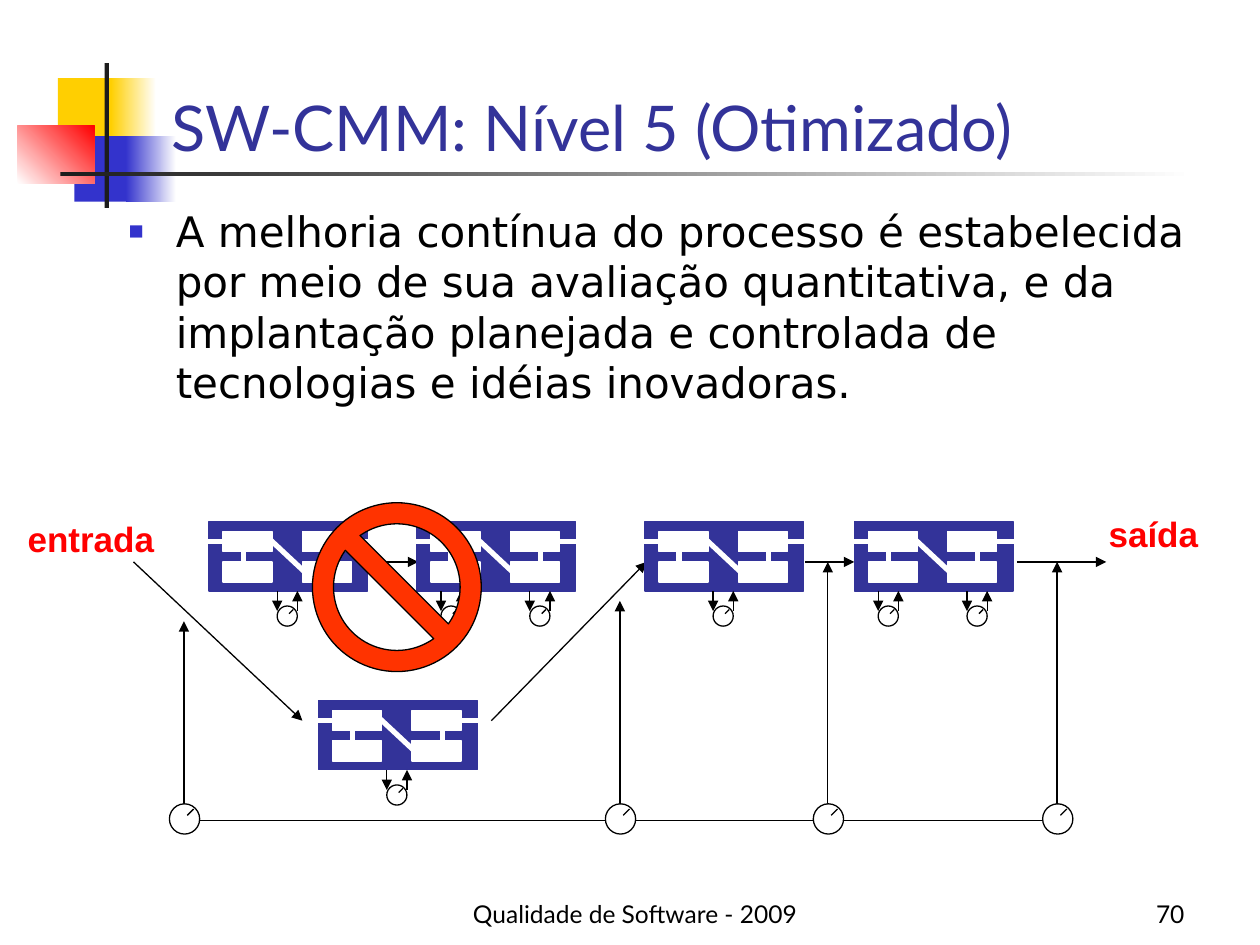
import dataclasses
import lxml.etree
import pptx
import pptx.dml.color
import pptx.enum.shapes
import pptx.enum.text
import pptx.oxml.ns
import pptx.util

KIND = pptx.enum.shapes.MSO_SHAPE
ALIGN = pptx.enum.text.PP_ALIGN
ANCHOR = pptx.enum.text.MSO_ANCHOR
WIDE, HIGH = pptx.util.Inches(10), pptx.util.Inches(7.5)
COL, ROW = WIDE / 100, HIGH / 75


@dataclasses.dataclass(frozen=True)
class Theme:
    ink: str = "000000"
    dark: str = "1C1C1C"
    paper: str = "FFFFFF"
    navy: str = "333399"
    blue: str = "3333CC"
    gold: str = "FFCF01"
    red: str = "FF0000"
    ban: str = "FF3300"
    head: str = "Lato"
    main: str = "DejaVu Sans"
    tag: str = "Arial"
    title: int = 36
    body: int = 24
    label: int = 20
    foot: int = 14
    thin: float = 0.75
    thick: float = 3


LOOK = Theme()


def tint(code):
    return pptx.dml.color.RGBColor.from_string(code)


def span(box):
    x, y, wide, high = box
    return round(x * COL), round(y * ROW), round(wide * COL), round(high * ROW)


def node(base, tag, **attrs):
    return lxml.etree.SubElement(base, pptx.oxml.ns.qn(tag), attrs)


def write(frame, words, font=LOOK.head, size=LOOK.foot, color=LOOK.ink,
          bold=False, align=ALIGN.LEFT, anchor=ANCHOR.TOP):
    frame.text = words
    frame.word_wrap = True
    frame.auto_size = pptx.enum.text.MSO_AUTO_SIZE.NONE
    frame.vertical_anchor = anchor
    para = frame.paragraphs[0]
    para.alignment = align
    face = para.runs[0].font
    face.name, face.size, face.bold = font, pptx.util.Pt(size), bold
    face.color.rgb = tint(color)
    return para


def note(shapes, box, words, **form):
    write(shapes.add_textbox(*span(box)).text_frame, words, **form)


def draw(shapes, kind, box, fill, edge=None, fade=None, angle=0):
    shape = shapes.add_shape(kind, *span(box))
    shape.shadow.inherit = False
    if fade:
        shape.fill.gradient()
        shape.fill.gradient_angle = angle
        for stop, code in zip(shape.fill.gradient_stops, (fill, fade)):
            stop.color.rgb = tint(code)
    else:
        shape.fill.solid()
        shape.fill.fore_color.rgb = tint(fill)
    if edge:
        shape.line.color.rgb = tint(edge)
        shape.line.width = pptx.util.Pt(LOOK.thin)
    else:
        shape.line.fill.background()
    return shape


def link(shapes, start, end, color=LOOK.ink, width=LOOK.thin, tip=False):
    ends = [round(part * unit) for spot in (start, end)
            for part, unit in zip(spot, (COL, ROW))]
    line = shapes.add_connector(pptx.enum.shapes.MSO_CONNECTOR.STRAIGHT, *ends)
    line.line.color.rgb = tint(color)
    line.line.width = pptx.util.Pt(width)
    if tip:
        node(line.line._get_or_add_ln(), "a:tailEnd", type="triangle")
    node(line.element.spPr, "a:effectLst")


def dial(shapes, x, y, size):
    draw(shapes, KIND.OVAL, (x, y, size, size), LOOK.paper, LOOK.ink)
    link(shapes, (x + 0.59 * size, y + 0.38 * size), (x + 0.8 * size, y + 0.17 * size))


def gauge(shapes, x, y):
    dial(shapes, x, y + 1.2, 1.6)
    link(shapes, (x, y), (x, y + 1.6), tip=True)
    link(shapes, (x + 1.6, y + 1.6), (x + 1.6, y), tip=True)


def stage(slide, x, y, gaps):
    shapes = slide.shapes.add_group_shape().shapes
    draw(shapes, KIND.RECTANGLE, (x, y, 12.6, 5.5), LOOK.navy, LOOK.navy)
    for left in (1.1, 7.4):
        for top in (0.8, 3.2):
            draw(shapes, KIND.RECTANGLE, (x + left, y + top, 3.9, 1.6),
                 LOOK.paper, LOOK.paper)
    for a, b, c, d in ((-0.5, 1.6, 1.9, 1.6), (10.6, 1.6, 12.95, 1.6),
                       (4.7, 1.3, 7.7, 4.1), (2.7, 4, 2.7, 1.6), (9.8, 4, 9.8, 1.6)):
        link(shapes, (x + a, y + b), (x + c, y + d), LOOK.paper, LOOK.thick)
    for gap in gaps:
        gauge(shapes, x + gap, y + 5.5)


def motif(slide, x, y):
    bars = (
        ((3.2, 1.2, 4.8, 5.2), LOOK.gold, None, 0),
        ((7.4, 1.2, 3.6, 5.2), LOOK.gold, LOOK.paper, 0),
        ((4.5, 5.8, 4.6, 5.2), LOOK.blue, None, 0),
        ((8.6, 5.8, 4, 5.2), LOOK.blue, LOOK.paper, 0),
        ((0, 5, 6.1, 4.6), LOOK.paper, LOOK.red, 45),
        ((6.9, 0, 0.35, 11.5), LOOK.dark, None, 0),
        ((3.4, 8.65, 90, 0.3), LOOK.dark, LOOK.paper, 0),
    )
    for (left, top, wide, high), fill, fade, angle in bars:
        draw(slide.shapes, KIND.RECTANGLE, (x + left, y + top, wide, high),
             fill, fade=fade, angle=angle)


def hold(slide, index, box):
    shape = slide.placeholders[index]
    shape.left, shape.top, shape.width, shape.height = span(box)
    shape.element.getparent().append(shape.element)
    return shape.text_frame


def title(slide, box, words):
    write(hold(slide, 0, box), words, size=LOOK.title, color=LOOK.navy,
          anchor=ANCHOR.BOTTOM)


def body(slide, box, words):
    para = write(hold(slide, 1, box), words, font=LOOK.main, size=LOOK.body)
    para.space_before = pptx.util.Pt(0)
    props = para._p.get_or_add_pPr()
    dent = round(3.75 * COL)
    props.set("marL", str(dent))
    props.set("indent", str(-dent))
    node(node(props, "a:buClr"), "a:srgbClr", val=LOOK.blue)
    node(props, "a:buSzPct", val="60000")
    node(props, "a:buFont", typeface=LOOK.tag)
    node(props, "a:buChar", char="■")


def flow(slide, x, y):
    shapes = slide.shapes
    base = y + 20.5
    posts = ((0, 4.7), (34.6, 3.1), (51.1, 0), (69.3, 0))
    link(shapes, (x, base), (x + 69.3, base))
    for post, top in posts:
        link(shapes, (x + post, base), (x + post, y + top), tip=True)
    for a, b, c, d in ((-4, 0, 9.4, 12.6), (14.7, 0, 18.6, 0), (24.4, 12.6, 36.7, 0),
                       (49.3, 0, 53.2, 0), (66.1, 0, 73.2, 0)):
        link(shapes, (x + a, y + b), (x + c, y + d), tip=True)
    for post, top in posts:
        dial(shapes, x + post - 1.15, base - 1.3, 2.4)
    one, two = (5.4,), (1.9, 8.95)
    for left, top, gaps in ((2, -3.2, one), (36.6, -3.2, one), (53.2, -3.2, two),
                            (18.5, -3.2, two), (10.7, 11, one)):
        stage(slide, x + left, y + top, gaps)
    sign = draw(shapes, KIND.NO_SYMBOL, (x + 10.2, y - 4.7, 13.4, 13.4),
                LOOK.ban, LOOK.ink)
    sign.adjustments[0] = 0.125
    for left, top, wide, words in ((-13.4, -4, 12.8, "entrada"),
                                   (72.4, -4.4, 9.8, "saída")):
        note(shapes, (x + left, y + top, wide, 4.4), words, font=LOOK.tag,
             size=LOOK.label, color=LOOK.red, bold=True)


def foot(slide, y):
    for x, wide, words, align in ((18.5, 63.8, "Qualidade de Software - 2009", ALIGN.CENTER),
                                  (84.7, 10.3, "70", ALIGN.RIGHT)):
        note(slide.shapes, (x, y, wide, 5), words, align=align, anchor=ANCHOR.BOTTOM)


def main():
    deck = pptx.Presentation()
    deck.slide_width, deck.slide_height = WIDE, HIGH
    slide = deck.slides.add_slide(deck.slide_layouts[1])
    motif(slide, 1.4, 5)
    foot(slide, 69.2)
    title(slide, (12.6, 2.1, 85.2, 11.4), "SW-CMM: Nível 5 (Otimizado)")
    flow(slide, 14.6, 44.6)
    body(slide, (9.2, 15.8, 88.8, 51.7),
         "A melhoria contínua do processo é estabelecida por meio de sua avaliação "
         "quantitativa, e da implantação planejada e controlada de tecnologias e "
         "idéias inovadoras.")
    deck.save("out.pptx")


if __name__ == "__main__":
    main()
